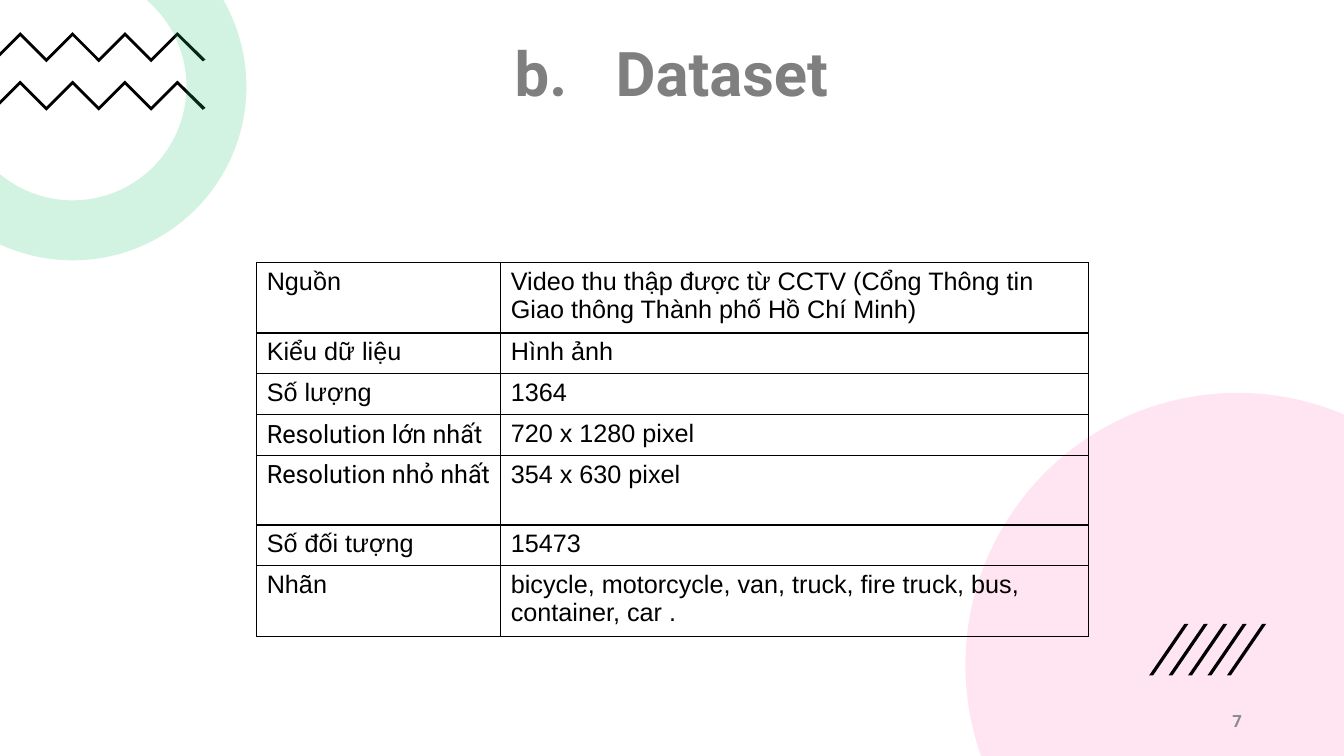
import math

from lxml import etree
from pptx import Presentation
from pptx import util as u
from pptx.dml.color import RGBColor
from pptx.enum import text
from pptx.oxml import ns

BLACK = RGBColor(0x00, 0x00, 0x00)
WHITE = RGBColor(0xFF, 0xFF, 0xFF)
GREEN = RGBColor(0x21, 0xC4, 0x6B)
PINK = RGBColor(0xFF, 0x80, 0xBD)
TITLE_GREY = RGBColor(0x7F, 0x7F, 0x7F)
NUMBER_GREY = RGBColor(0x89, 0x89, 0x89)

PAGE_WIDTH, PAGE_HEIGHT = 33.87, 19.05

ROWS = [
    ("Nguồn", "Video thu thập được từ CCTV (Cổng Thông tin Giao thông Thành phố Hồ Chí Minh)", "Arial", 1.68),
    ("Kiểu dữ liệu", "Hình ảnh ", "Arial", 1.03),
    ("Số lượng", "1364", "Arial", 1.03),
    ("Resolution lớn nhất ", "720 x 1280 pixel", "Roboto", 1.03),
    ("Resolution nhỏ nhất ", "354 x 630 pixel", "Roboto", 1.75),
    ("Số đối tượng", "15473", "Arial", 1.03),
    ("Nhãn", "bicycle, motorcycle, van, truck, fire truck, bus, container, car .", "Arial", 1.68),
]


def write(frame, words, font="Arial", size=18, color=BLACK, bold=False,
          align=text.PP_ALIGN.LEFT, anchor=text.MSO_ANCHOR.TOP):
    frame.word_wrap = True
    frame.vertical_anchor = anchor
    para = frame.paragraphs[0]
    para.alignment = align
    span = para.add_run()
    span.text = words
    span.font.name = font
    span.font.size = u.Pt(size)
    span.font.bold = bold
    span.font.color.rgb = color


def place(shape, left, top, width, height):
    shape.left, shape.top = u.Cm(left), u.Cm(top)
    shape.width, shape.height = u.Cm(width), u.Cm(height)


def bend(shape, segments):
    lines = list(shape._element.iter(ns.qn("a:lnTo")))
    for segment in segments:
        first, *others = [lines.pop(0) for _ in segment]
        if others:
            curve = etree.Element(ns.qn("a:cubicBezTo"))
            first.addprevious(curve)
            for line in (first, *others):
                curve.append(line[0])
                line.getparent().remove(line)


def add_outline(page, start, segments, color, opacity=100):
    builder = page.shapes.build_freeform(u.Cm(start[0]), u.Cm(start[1]))
    builder.add_line_segments([(u.Cm(x), u.Cm(y)) for segment in segments for x, y in segment])
    shape = builder.convert_to_shape()
    bend(shape, segments)
    shape.shadow.inherit = False
    shape.line.fill.background()
    shape.fill.solid()
    shape.fill.fore_color.rgb = color
    if opacity < 100:
        tint = shape.fill._xPr.find(".//" + ns.qn("a:srgbClr"))
        etree.SubElement(tint, ns.qn("a:alpha"), val=str(opacity * 1000))


def add_polygon(page, points, color):
    add_outline(page, points[0], [[point] for point in points[1:]], color)


def arc(center, radius, start, end):
    quarters = [k * math.pi / 2 for k in range(5) if min(start, end) < k * math.pi / 2 < max(start, end)]
    stops = sorted([start, *quarters, end], reverse=start > end)

    def spot(angle, lean=0):
        return (center[0] + radius * (math.cos(angle) - lean * math.sin(angle)),
                center[1] + radius * (math.sin(angle) + lean * math.cos(angle)))

    curves = []
    for a, b in zip(stops, stops[1:]):
        lean = 4 / 3 * math.tan((b - a) / 4)
        curves.append([spot(a, lean), spot(b, -lean), spot(b)])
    return spot(start), curves


def add_zigzag(page, top):
    upper = [(0.51 + 0.66 * k, top + 0.66 * (k % 2)) for k in range(7)]
    lower = [(x, y + 0.1) for x, y in reversed(upper)]
    tip = [(5.18, top + 0.69), (5.11, top + 0.74)]
    add_polygon(page, upper + tip + lower + [(0, top + 0.61), (0, top + 0.51), upper[0]], BLACK)


def add_ring(page):
    center = (1.83, 2.18)

    def ends(radius):
        return math.asin(-center[1] / radius), math.acos(-center[0] / radius)

    start, outer = arc(center, 4.38, *ends(4.38))
    turn, inner = arc(center, 2.87, *ends(2.87)[::-1])
    add_outline(page, start, outer + [[turn]] + inner + [[start]], GREEN, 20)


def add_disc(page):
    center, radius = (31.19, 16.76), 6.86
    first = math.pi - math.asin((PAGE_HEIGHT - center[1]) / radius)
    last = 2 * math.pi - math.acos((PAGE_WIDTH - center[0]) / radius)
    start, curves = arc(center, radius, first, last)
    segments = curves + [[(PAGE_WIDTH, PAGE_HEIGHT)], [start]]
    add_outline(page, start, segments, WHITE)
    add_outline(page, start, segments, PINK, 20)


def add_slashes(page):
    top, bottom = 15.72, 17.02
    for k in range(5):
        left = 28.96 + 0.49 * k
        foot = (left + 0.1, bottom)
        add_polygon(page, [foot, (left, bottom), (left + 0.89, top), (left + 0.99, top), foot], BLACK)


def add_borders(cell):
    properties = cell._tc.get_or_add_tcPr()
    for index, side in enumerate("LRTB"):
        line = etree.Element(ns.qn("a:ln" + side), w=str(u.Pt(1)))
        fill = etree.SubElement(line, ns.qn("a:solidFill"))
        etree.SubElement(fill, ns.qn("a:srgbClr"), val=str(BLACK))
        properties.insert(index, line)


def add_dataset_table(page):
    frame = page.shapes.add_table(len(ROWS), 2, u.Cm(6.47), u.Cm(6.61), u.Cm(20.96), u.Cm(9.23))
    table = frame.table
    table.first_row = table.horz_banding = False
    table.columns[0].width, table.columns[1].width = u.Cm(6.15), u.Cm(14.81)
    for row, (label, value, label_font, height) in zip(table.rows, ROWS):
        row.height = u.Cm(height)
        for cell, words, font in zip(row.cells, (label, value), (label_font, "Arial")):
            cell.fill.background()
            add_borders(cell)
            write(cell.text_frame, words, font=font)


def add_title(page):
    title = page.shapes.title
    place(title, 8.16, 0.05, 17.53, 3.53)
    title.fill.solid()
    title.fill.fore_color.rgb = WHITE
    title.text_frame.auto_size = text.MSO_AUTO_SIZE.NONE
    write(title.text_frame, "b.\tDataset", font="Roboto", size=44, color=TITLE_GREY, bold=True,
          align=text.PP_ALIGN.CENTER, anchor=text.MSO_ANCHOR.MIDDLE)


def add_page_number(page):
    box = page.shapes.add_textbox(u.Cm(23.93), u.Cm(17.65), u.Cm(7.62), u.Cm(1.02))
    write(box.text_frame, "7", font="Roboto", size=12, color=NUMBER_GREY, bold=True,
          align=text.PP_ALIGN.RIGHT, anchor=text.MSO_ANCHOR.MIDDLE)


def main():
    deck = Presentation()
    deck.slide_width, deck.slide_height = u.Cm(PAGE_WIDTH), u.Cm(PAGE_HEIGHT)
    page = deck.slides.add_slide(deck.slide_layouts[5])
    for top in (0.81, 2.03):
        add_zigzag(page, top)
    add_ring(page)
    add_disc(page)
    add_slashes(page)
    add_page_number(page)
    add_dataset_table(page)
    add_title(page)
    deck.save("out.pptx")


if __name__ == "__main__":
    main()
